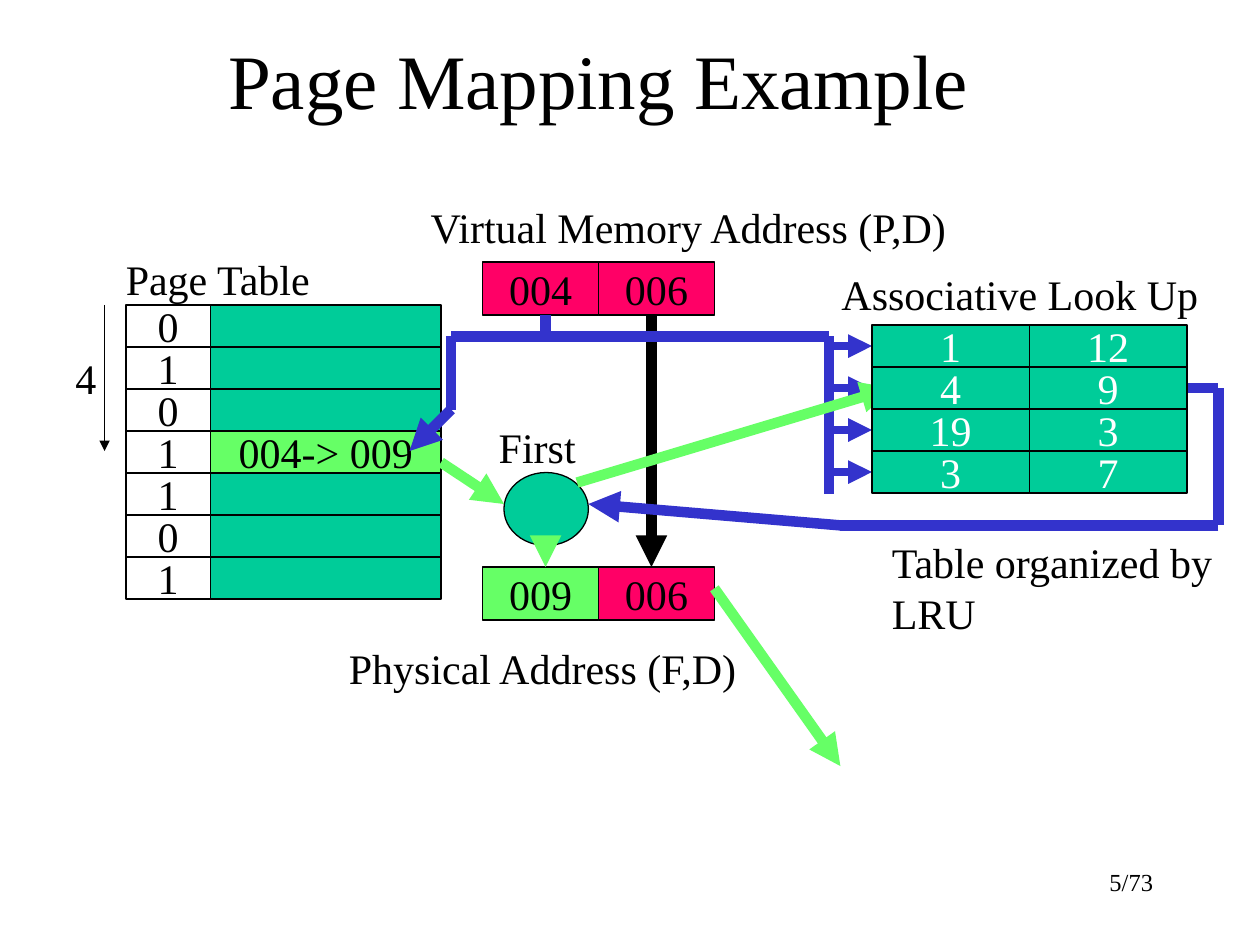
from dataclasses import dataclass

from lxml.etree import SubElement
from pptx import Presentation
from pptx.dml.color import RGBColor
from pptx.enum.shapes import MSO_CONNECTOR as Connector, MSO_SHAPE as Shape
from pptx.enum.text import MSO_ANCHOR as Anchor, PP_ALIGN as Align
from pptx.oxml.ns import qn
from pptx.util import Inches, Pt


@dataclass(frozen=True)
class Theme:
    font: str = "Times New Roman"
    black: str = "000000"
    white: str = "FFFFFF"
    pink: str = "FF0066"
    teal: str = "00CC99"
    green: str = "66FF66"
    blue: str = "3333CC"
    title: int = 44
    body: int = 24
    footer: int = 14
    outline: float = 0.75
    feeder: float = 4.5
    path_line: int = 6


theme = Theme()


def write(frame, text, size=theme.body, color=theme.black, align=Align.LEFT,
          anchor=Anchor.TOP, wrap=False):
    frame.text = text
    frame.word_wrap = wrap
    frame.vertical_anchor = anchor
    for para in frame.paragraphs:
        para.alignment = align
        para.font.name = theme.font
        para.font.size = Pt(size)
        para.font.color.rgb = RGBColor.from_string(color)


def add_cell(left, top, width, height, fill, text="", color=theme.black,
             kind=Shape.RECTANGLE):
    """Add an outlined shape with centred text."""
    cell = page.shapes.add_shape(kind, Inches(left), Inches(top),
                                 Inches(width), Inches(height))
    cell.shadow.inherit = False
    cell.fill.solid()
    cell.fill.fore_color.rgb = RGBColor.from_string(fill)
    cell.line.color.rgb = RGBColor.from_string(theme.black)
    cell.line.width = Pt(theme.outline)
    if text:
        write(cell.text_frame, text, color=color, align=Align.CENTER,
              anchor=Anchor.MIDDLE)
    return cell


deck = Presentation()
deck.slide_width, deck.slide_height = Inches(10), Inches(7.5)
page = deck.slides.add_slide(deck.slide_layouts[5])

title = page.shapes.title
title.left, title.top = Inches(0.5), Inches(0)
title.width, title.height = Inches(8.5), Inches(1.25)
write(title.text_frame, "Page Mapping Example", size=theme.title,
      align=Align.CENTER, anchor=Anchor.MIDDLE, wrap=True)

# Virtual address above, physical address below
field_width = 0.92
for top, fields in (
    (2.08, (("004", theme.pink), ("006", theme.pink))),
    (4.5, (("009", theme.green), ("006", theme.pink))),
):
    for column, (text, fill) in enumerate(fields):
        add_cell(3.83 + column * field_width, top, field_width, 0.42, fill, text)

# Page table: valid bit and mapping
row_height = 1 / 3
for row, valid_bit in enumerate("0101101"):
    top = 2.42 + row * row_height
    mapping, fill = ("004-> 009", theme.green) if row == 3 else ("", theme.teal)
    add_cell(1.67, top, 1.83, row_height, fill, mapping)
    add_cell(1, top, 0.67, row_height, theme.white, valid_bit)

add_cell(4, 3.75, 0.67, 0.58, theme.teal, kind=Shape.OVAL)

# Routes: start, end, colour, width, arrowhead
lookup_rows = (("1", "12"), ("4", "9"), ("19", "3"), ("3", "7"))
lookup_left, lookup_top = 6.92, 2.58
routes = []
for row in range(len(lookup_rows)):
    middle = lookup_top + (row + 0.5) * row_height
    routes.append(((6.58, middle), (lookup_left, middle),
                   theme.blue, theme.feeder, True))
routes += [
    ((0.83, 2.42), (0.83, 3.58), theme.black, theme.outline, True),
    ((5.17, 2.5), (5.17, 4.5), theme.black, theme.path_line, True),
]
for start, end, color, head in (
    ((3.58, 2.67), (6.58, 2.67), theme.blue, False),
    ((4.33, 2.5), (4.33, 2.67), theme.blue, False),
    ((3.58, 2.67), (3.58, 3.25), theme.blue, False),
    ((3.58, 3.25), (3.25, 3.58), theme.blue, True),
    ((6.58, 2.67), (6.58, 3.92), theme.blue, False),
    ((9.25, 3.08), (9.67, 3.08), theme.blue, False),
    ((9.67, 3.08), (9.67, 4.17), theme.blue, False),
    ((9.67, 4.17), (6.67, 4.17), theme.blue, False),
    ((6.67, 4.17), (4.67, 4), theme.blue, True),
    ((4.58, 3.83), (7.08, 3.08), theme.green, True),
    ((4.33, 4.33), (4.33, 4.5), theme.green, True),
    ((3.5, 3.67), (4, 4), theme.green, True),
    ((5.67, 4.67), (6.67, 6.08), theme.green, True),
):
    routes.append((start, end, color, theme.path_line, head))

connectors = []
for start, end, color, width, head in routes:
    connector = page.shapes.add_connector(
        Connector.STRAIGHT, *(Inches(value) for value in start + end))
    connector.line.color.rgb = RGBColor.from_string(color)
    connector.line.width = Pt(width)
    properties = connector.element.spPr
    if head:
        SubElement(properties.find(qn("a:ln")), qn("a:tailEnd"), type="triangle")
    SubElement(properties, qn("a:effectLst"))
    connectors.append(connector)

# Associative table covers the tip of the green route
for row, values in enumerate(lookup_rows):
    for column, text in enumerate(values):
        cell = add_cell(lookup_left + column * 1.25, lookup_top + row * row_height,
                        1.25, row_height, theme.teal, text, theme.white)
        if column == 0:
            connectors[row].end_connect(cell, 1)

for left, top, width, height, text, style in (
    (0.9, 1.96, 1.69, 0.5, "Page Table", {}),
    (3.32, 1.55, 4.36, 0.5, "Virtual Memory Address (P,D)", {}),
    (2.67, 5.05, 3.32, 0.5, "Physical Address (F,D)", {}),
    (0.5, 2.75, 0.36, 0.5, "4", {}),
    (6.58, 2.08, 3.03, 0.5, "Associative Look Up", {}),
    (3.86, 3.3, 0.81, 0.5, "First", {}),
    (6.98, 4.21, 2.77, 0.9, "Table organized by\nLRU", {}),
    (7.17, 6.83, 2.08, 0.5, "5/73",
     {"size": theme.footer, "align": Align.RIGHT, "wrap": True}),
):
    box = page.shapes.add_textbox(Inches(left), Inches(top),
                                  Inches(width), Inches(height))
    write(box.text_frame, text, **style)

deck.save("out.pptx")
